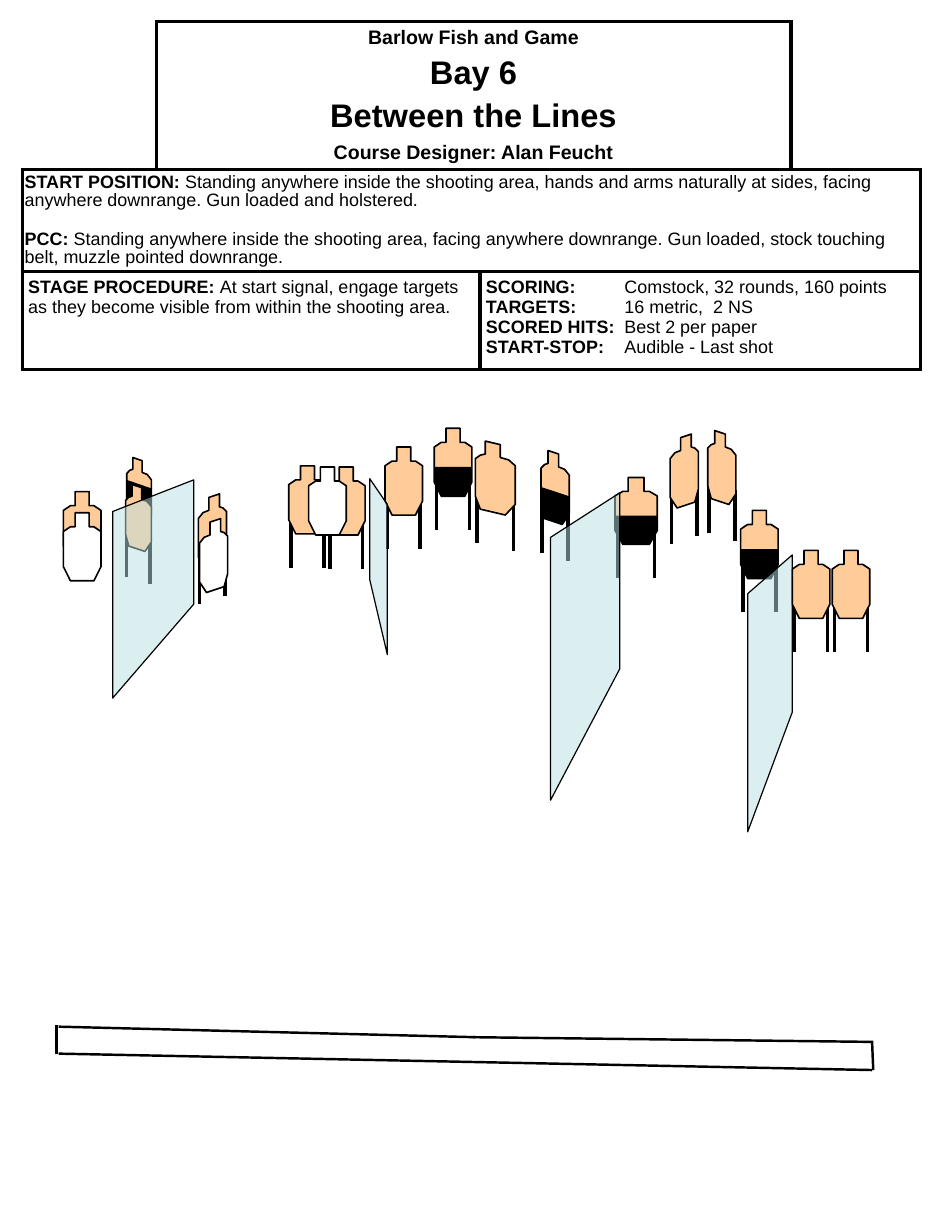
from dataclasses import dataclass
from lxml.etree import SubElement
from pptx import Presentation
from pptx.dml.color import RGBColor
from pptx.enum.shapes import MSO_CONNECTOR as CONN
from pptx.enum.text import MSO_ANCHOR as ANCHOR, PP_ALIGN as ALIGN
from pptx.oxml import parse_xml
from pptx.oxml.ns import nsdecls, qn
from pptx.util import Pt

PX = 9144  # 100 px to the inch


@dataclass(frozen=True)
class Theme:
    font: str = "Arial"
    ink: str = "000000"
    paper: str = "FFFFFF"
    card: str = "FFCC99"
    glass: str = "BBE0E3"
    title: int = 20
    head: int = 12
    body: int = 11
    thick: float = 2.25
    fault: float = 1.5
    outline: float = 1
    thin: float = 0.75


T = Theme()

# Content: header table
COLS, ROWS, TABLE_AT = (114, 276, 265, 110), (126, 87, 83), (19, 18)
# (text, size, space before)
HEADING = [
    ("Barlow Fish and Game", T.head, 0),
    ("Bay 6", T.title, 4),
    ("Between the Lines", T.title, 4),
    ("Course Designer: Alan Feucht", T.head, 4.2),
]
# (bold label, text)
START = [
    ("START POSITION:", " Standing anywhere inside the shooting area, hands and arms "
     "naturally at sides, facing anywhere downrange. Gun loaded and holstered."),
    ("PCC: ", "Standing anywhere inside the shooting area, facing anywhere downrange. "
     "Gun loaded, stock touching belt, muzzle pointed downrange."),
]
PROCEDURE = [("STAGE PROCEDURE: ", "At start signal, engage targets as they become "
              "visible from within the shooting area.")]
SCORING = [
    ("SCORING:", "\tComstock, 32 rounds, 160 points"),
    ("TARGETS:", "\t16 metric,  2 NS"),
    ("SCORED HITS:", "\tBest 2 per paper"),
    ("START-STOP:", "\tAudible - Last shot"),
]
VALUE_TAB, START_GAP = 118, 13

# Target outlines on their own grids, and where the legs start: (x, y)
FRONT = dict(
    grid=(32, 58), legs=[(2, 43), (30, 43)], leg=44, tilt=0,
    body=[(10, 0), (22, 0), (22, 12), (26, 12), (32, 16), (32, 46),
          (26, 58), (6, 58), (0, 46), (0, 16), (6, 12), (10, 12)],
    base=[(32, 46), (26, 58), (6, 58), (0, 46)])
TURNED = dict(
    grid=(24, 63), legs=[(1, 44), (23, 51)], leg=43, tilt=8,
    body=[(15, 3), (6, 0), (6, 11), (3, 12), (0, 15), (0, 47),
          (3, 58), (18, 63), (24, 54), (24, 21), (20, 16), (15, 14)],
    base=[(24, 54), (18, 63), (3, 58), (0, 47)])

# (outline, x, y, options); cover = height where the black hard cover starts
TARGETS = [
    (FRONT, 370, 365, dict(cover=33)),
    (TURNED, 461, 384, dict(cover=31)),
    (FRONT, 328, 381, {}),
    (TURNED, 108, 390, dict(size=(21, 57), cover=21, legs=False)),
    (TURNED, 107, 413, dict(size=(22, 57))),
    (FRONT, 279, 398, {}),
    (FRONT, 246, 397, {}),
    (TURNED, 571, 370, dict(mirror=True)),
    (FRONT, 675, 469, {}),
    (FRONT, 709, 469, {}),
    (FRONT, 54, 419, dict(lift=23)),
    (TURNED, 169, 421, dict(mirror=True)),
    (TURNED, 603, 367, {}),
    (TURNED, 405, 376, dict(size=(34, 63))),
    (FRONT, 524, 407, dict(size=(36, 57), cover=33)),
    (FRONT, 631, 435, dict(cover=33)),
    # no-shoots
    (FRONT, 54, 437, dict(fill=T.paper, legs=False)),
    (FRONT, 263, 398, dict(fill=T.paper, legs=False)),
    (TURNED, 170, 442, dict(fill=T.paper, legs=False, mirror=True)),
]
# See-through walls: (x left, top, bottom, x right, top, bottom)
WALLS = [
    (315, 408, 494, 330, 430, 558),
    (469, 458, 682, 528, 420, 570),
    (96, 436, 595, 165, 409, 515),
    (637, 506, 709, 675, 473, 607),
]
FAULT_LINES = [(50, 898, 743, 912), (50, 875, 405, 884), (48, 874, 48, 898),
               (403, 884, 744, 888), (743, 888, 744, 912)]


def px(v):
    return round(v * PX)


def rgb(value):
    return RGBColor.from_string(value)


def line(x1, y1, x2, y2, width):
    c = s.shapes.add_connector(CONN.STRAIGHT, px(x1), px(y1), px(x2), px(y2))
    c.line.color.rgb, c.line.width = rgb(T.ink), Pt(width)
    SubElement(c._element.spPr, qn("a:effectLst"))


def polygon(points, fill, width=None):
    first, *rest = [(px(x), px(y)) for x, y in points]
    fb = s.shapes.build_freeform(*first)
    fb.add_line_segments(rest, close=True)
    sp = fb.convert_to_shape()
    sp.shadow.inherit = False
    sp.fill.solid()
    sp.fill.fore_color.rgb = rgb(fill)
    if width:
        sp.line.color.rgb, sp.line.width = rgb(T.ink), Pt(width)
    else:
        sp.line.fill.background()
    return sp


def target(kind, x, y, size=None, cover=None, legs=True, lift=0,
           mirror=False, fill=T.card):
    gw, gh = kind["grid"]
    w, h = size or kind["grid"]

    def place(points):
        return [(x + (gw - a if mirror else a) * w / gw, y + b * h / gh) for a, b in points]

    if legs:
        for lx, ly in place(kind["legs"]):
            line(lx, ly - lift, lx, ly - lift + kind["leg"] * h / gh, T.thick)
    polygon(place(kind["body"]), fill, T.outline)
    if cover:
        polygon(place([(0, cover), (gw, cover + kind["tilt"])] + kind["base"]), T.ink)


def borders(cell, sides):
    tcPr = cell._tc.get_or_add_tcPr()
    for i, side in enumerate("LRTB"):
        paint = (f'<a:solidFill><a:srgbClr val="{T.ink}"/></a:solidFill>'
                 if side in sides else "<a:noFill/>")
        tcPr.insert(i, parse_xml(f'<a:ln{side} {nsdecls("a")} w="{Pt(T.thick)}">{paint}</a:ln{side}>'))


def style(p, size, before=0, **font):
    p.space_before = Pt(before)
    p.font.name, p.font.size, p.font.color.rgb = T.font, Pt(size), rgb(T.ink)
    p.font.bold = font.get("bold", False)


def margins(cell, side, top):
    cell.margin_left = cell.margin_right = px(side)
    cell.margin_top = cell.margin_bottom = px(top)


def paragraphs(cell, items):
    tf = cell.text_frame
    for i, item in enumerate(items):
        yield i, (tf.add_paragraph() if i else tf.paragraphs[0]), item


def labelled(cell, items, gap=0, spacing=None, tab=None):
    for i, p, (label, text) in paragraphs(cell, items):
        if tab:
            tabs = SubElement(p._p.get_or_add_pPr(), qn("a:tabLst"))
            SubElement(tabs, qn("a:tab"), pos=str(px(tab)), algn="l")
        style(p, T.body, gap if i else 0)
        if spacing:
            p.line_spacing = spacing
        for part, bold in ((label, True), (text, False)):
            r = p.add_run()
            r.text, r.font.bold = part, bold


prs = Presentation()
prs.slide_width, prs.slide_height = px(800), px(1050)
s = prs.slides.add_slide(prs.slide_layouts[6])

# Header table
table = s.shapes.add_table(len(ROWS), len(COLS), *map(px, TABLE_AT),
                           px(sum(COLS)), px(sum(ROWS))).table
table.first_row = table.horz_banding = False
for col, w in zip(table.columns, COLS):
    col.width = px(w)
for row, h in zip(table.rows, ROWS):
    row.height = px(h)
for r, row in enumerate(table.rows):
    for c, cell in enumerate(row.cells):
        cell.fill.solid()
        cell.fill.fore_color.rgb = rgb(T.paper)
        borders(cell, {(0, 0): "RB", (0, 3): "LB"}.get((r, c), "LRTB"))
        margins(cell, 5, 5)
for r, c1, c2 in ((0, 1, 2), (1, 0, 3), (2, 0, 1), (2, 2, 3)):
    table.cell(r, c1).merge(table.cell(r, c2))

heading = table.cell(0, 1)
heading.vertical_anchor = ANCHOR.MIDDLE
for _, p, (text, size, before) in paragraphs(heading, HEADING):
    p.text, p.alignment = text, ALIGN.CENTER
    style(p, size, before, bold=True)
margins(table.cell(1, 0), 2, 4)
labelled(table.cell(1, 0), START, START_GAP, 0.9)
labelled(table.cell(2, 0), PROCEDURE)
labelled(table.cell(2, 2), SCORING, tab=VALUE_TAB)

# Targets
for kind, x, y, options in TARGETS:
    target(kind, x, y, **options)

# Walls
for x1, top1, low1, x2, top2, low2 in WALLS:
    wall = polygon([(x1, top1), (x2, top2), (x2, low2), (x1, low1)], T.glass, T.thin)
    color = wall._element.spPr.find(qn("a:solidFill")).find(qn("a:srgbClr"))
    SubElement(color, qn("a:alpha"), val="50000")

# Shooting area
for ends in FAULT_LINES:
    line(*ends, T.fault)

prs.save("out.pptx")
